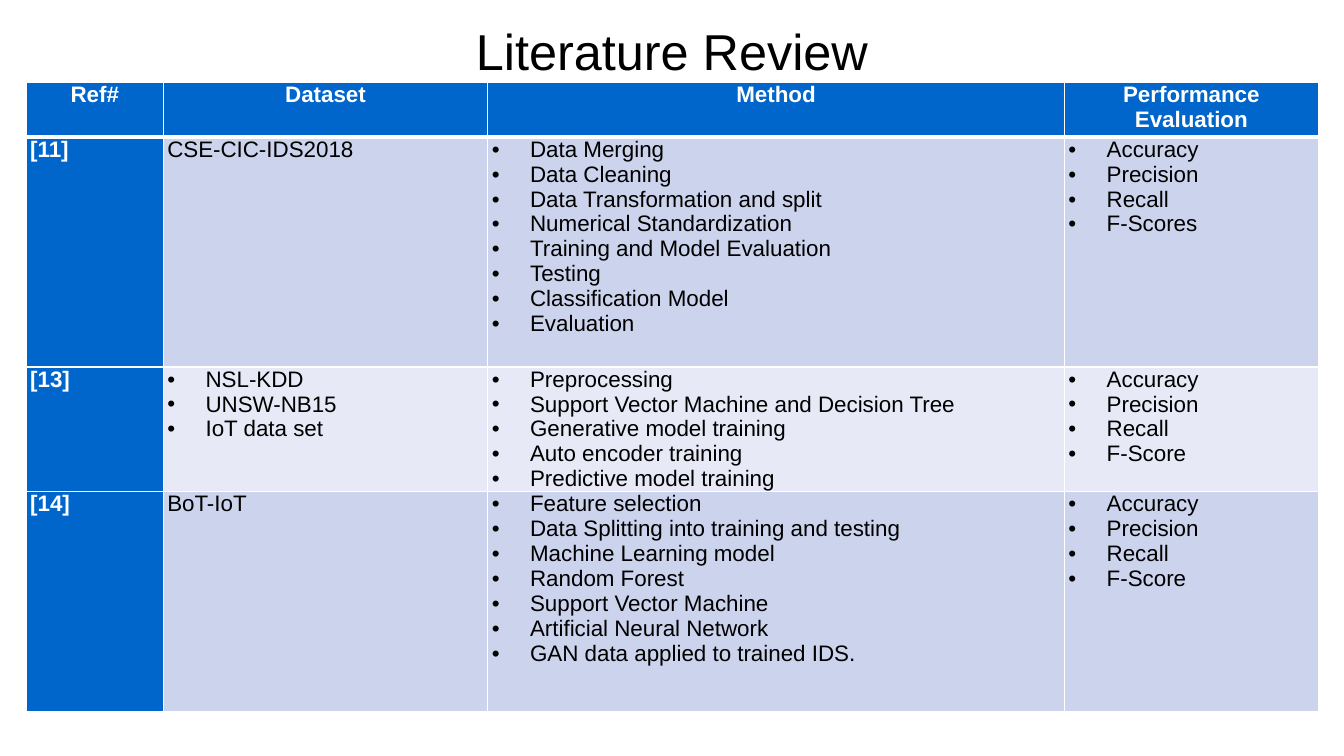
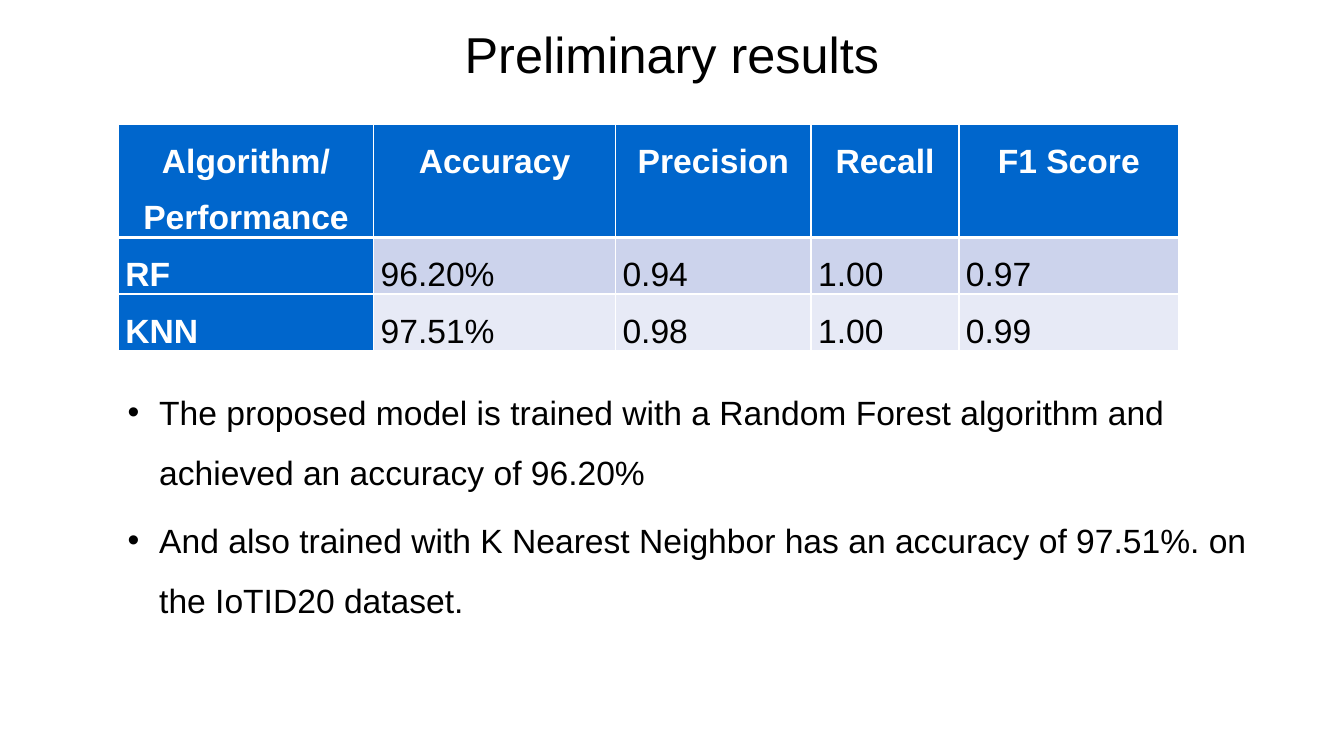
from lxml.etree import SubElement
from pptx import Presentation
from pptx.dml.color import RGBColor
from pptx.enum.text import MSO_ANCHOR, MSO_AUTO_SIZE, PP_ALIGN
from pptx.oxml.ns import qn
from pptx.util import Inches, Pt

THEME = {
    "font": "Arial",
    "ink": RGBColor.from_string("000000"),
    "paper": RGBColor.from_string("FFFFFF"),
    "accent": RGBColor.from_string("0066CC"),
    "bands": [RGBColor.from_string("E7EAF6"), RGBColor.from_string("CCD3EC")],
    "title": Pt(36),
    "body": Pt(24),
    "small": Pt(16),
    "rule": Pt(1),
    "header_rule": Pt(3),
    "indent": Inches(0.38),
}

SCORES = ["Accuracy", "Precision", "Recall"]

SLIDES = [
    {
        "title": "Literature Review",
        "title_top": 2.4,
        "left": 1.95,
        "top": 10.95,
        "cols": [10.2, 24.15, 42.9, 18.9],
        "rows": [7.2, 30.4, 16.5, 29.1],
        "size": THEME["small"],
        "inset": Inches(0.04),
        "spacing": 1.0,
        "table": [
            ["Ref#", "Dataset", "Method", "Performance\nEvaluation"],
            ["[11]", "CSE-CIC-IDS2018", [
                "Data Merging", "Data Cleaning", "Data Transformation and split",
                "Numerical Standardization", "Training and Model Evaluation",
                "Testing", "Classification Model", "Evaluation"],
             SCORES + ["F-Scores"]],
            ["[13]", ["NSL-KDD", "UNSW-NB15", "IoT data set"], [
                "Preprocessing", "Support Vector Machine and Decision Tree",
                "Generative model training", "Auto encoder training",
                "Predictive model training"],
             SCORES + ["F-Score"]],
            ["[14]", "BoT-IoT", [
                "Feature selection", "Data Splitting into training and testing",
                "Machine Learning model", "Random Forest",
                "Support Vector Machine", "Artificial Neural Network",
                "GAN data applied to trained IDS."],
             SCORES + ["F-Score"]],
        ],
        "points": [],
    },
    {
        "title": "Preliminary results",
        "title_top": 2.8,
        "left": 8.8,
        "top": 16.4,
        "cols": [19, 18, 14.55, 11, 16.35],
        "rows": [15, 7.5, 7.5],
        "size": THEME["body"],
        "inset": Inches(0.07),
        "spacing": 1.5,
        "table": [
            ["Algorithm/\nPerformance", "Accuracy", "Precision", "Recall", "F1 Score"],
            ["RF", "96.20%", "0.94", "1.00", "0.97"],
            ["KNN", "97.51%", "0.98", "1.00", "0.99"],
        ],
        "points": [
            "The proposed model is trained with a Random Forest algorithm and "
            "achieved an accuracy of 96.20%",
            "And also trained with K Nearest Neighbor has an accuracy of 97.51%. "
            "on the IoTID20 dataset.",
        ],
    },
]

prs = Presentation()
prs.slide_width, prs.slide_height = Inches(13.33), Inches(7.5)
VW, VH = prs.slide_width / 100, prs.slide_height / 100


def place(sp, left, top, width, height):
    box = {"left": left * VW, "top": top * VH, "width": width * VW, "height": height * VH}
    for name, value in box.items():
        setattr(sp, name, int(value))


def write(tf, lines, size, color, bold=False, bullet=False, **para):
    for i, line in enumerate(lines):
        p = tf.paragraphs[0] if i == 0 else tf.add_paragraph()
        for name, value in para.items():
            setattr(p, name, value)
        r = p.add_run()
        r.text = line
        for name, value in {"name": THEME["font"], "size": size, "bold": bold}.items():
            setattr(r.font, name, value)
        r.font.color.rgb = color
        if bullet:
            pPr = p._p.get_or_add_pPr()
            SubElement(pPr, qn("a:buFont"), typeface=THEME["font"])
            SubElement(pPr, qn("a:buChar"), char="•")


for page in SLIDES:
    layout = prs.slide_layouts[1 if page["points"] else 5]
    slide = prs.slides.add_slide(layout)

    title = slide.shapes.title
    place(title, 5, page["title_top"], 90, 8.5)
    title.text_frame.auto_size = MSO_AUTO_SIZE.NONE
    title.text_frame.vertical_anchor = MSO_ANCHOR.MIDDLE
    write(title.text_frame, [page["title"]], THEME["title"], THEME["ink"],
          alignment=PP_ALIGN.CENTER)

    cols, rows = page["cols"], page["rows"]
    frame = slide.shapes.add_table(len(rows), len(cols), 0, 0, 0, 0)
    place(frame, page["left"], page["top"], sum(cols), sum(rows))
    table = frame.table
    for column, share in zip(table.columns, cols):
        column.width = int(share * VW)
    for row, share in zip(table.rows, rows):
        row.height = int(share * VH)

    for i, row in enumerate(page["table"]):
        for j, content in enumerate(row):
            cell = table.cell(i, j)
            margins = {"margin_left": page["inset"], "margin_right": page["inset"],
                       "margin_top": 0, "margin_bottom": 0}
            for name, value in margins.items():
                setattr(cell, name, value)

            heading = i == 0 or j == 0
            bullet = isinstance(content, list)
            write(cell.text_frame, content if bullet else content.split("\n"),
                  page["size"], THEME["paper"] if heading else THEME["ink"],
                  bold=heading, bullet=bullet, line_spacing=page["spacing"],
                  alignment=PP_ALIGN.JUSTIFY if i else PP_ALIGN.CENTER)
            if bullet:
                for p in cell.text_frame.paragraphs:
                    pPr = p._p.get_or_add_pPr()
                    pPr.set("marL", str(THEME["indent"]))
                    pPr.set("indent", str(-THEME["indent"]))

            tcPr = cell._tc.get_or_add_tcPr()
            for side in "LRTB":
                thick = (i, side) in [(0, "B"), (1, "T")]
                width = THEME["header_rule" if thick else "rule"]
                ln = SubElement(tcPr, qn(f"a:ln{side}"), w=str(width))
                fill = SubElement(ln, qn("a:solidFill"))
                SubElement(fill, qn("a:srgbClr"), val=str(THEME["paper"]))
            cell.fill.solid()
            cell.fill.fore_color.rgb = THEME["accent"] if heading else THEME["bands"][i % 2]

    if page["points"]:
        body = slide.placeholders[1]
        place(body, 5, 48.5, 90, 28.7)
        body.text_frame.auto_size = MSO_AUTO_SIZE.NONE
        write(body.text_frame, page["points"], THEME["body"], THEME["ink"],
              bullet=True, level=1, line_spacing=1.5)

prs.save("out.pptx")
